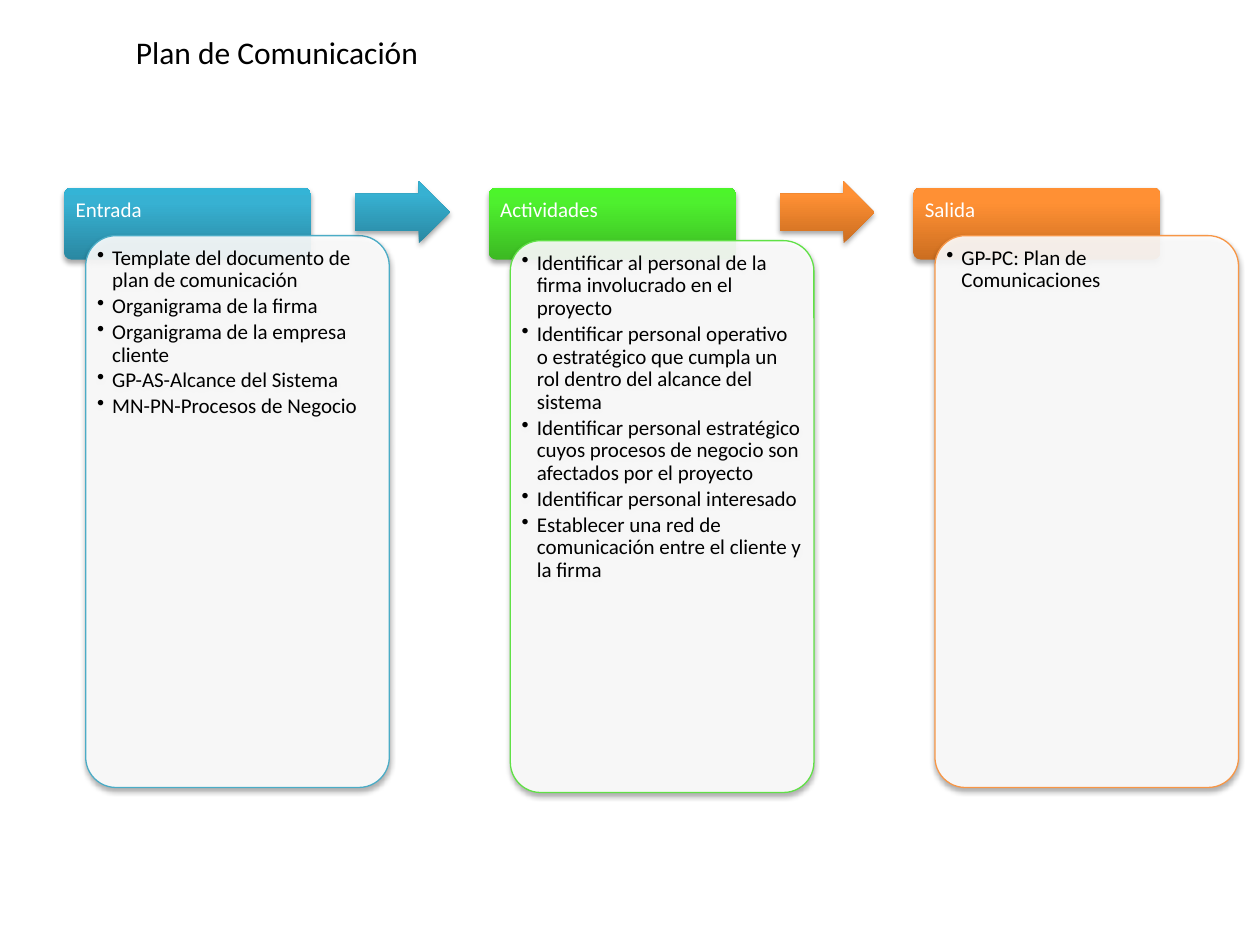
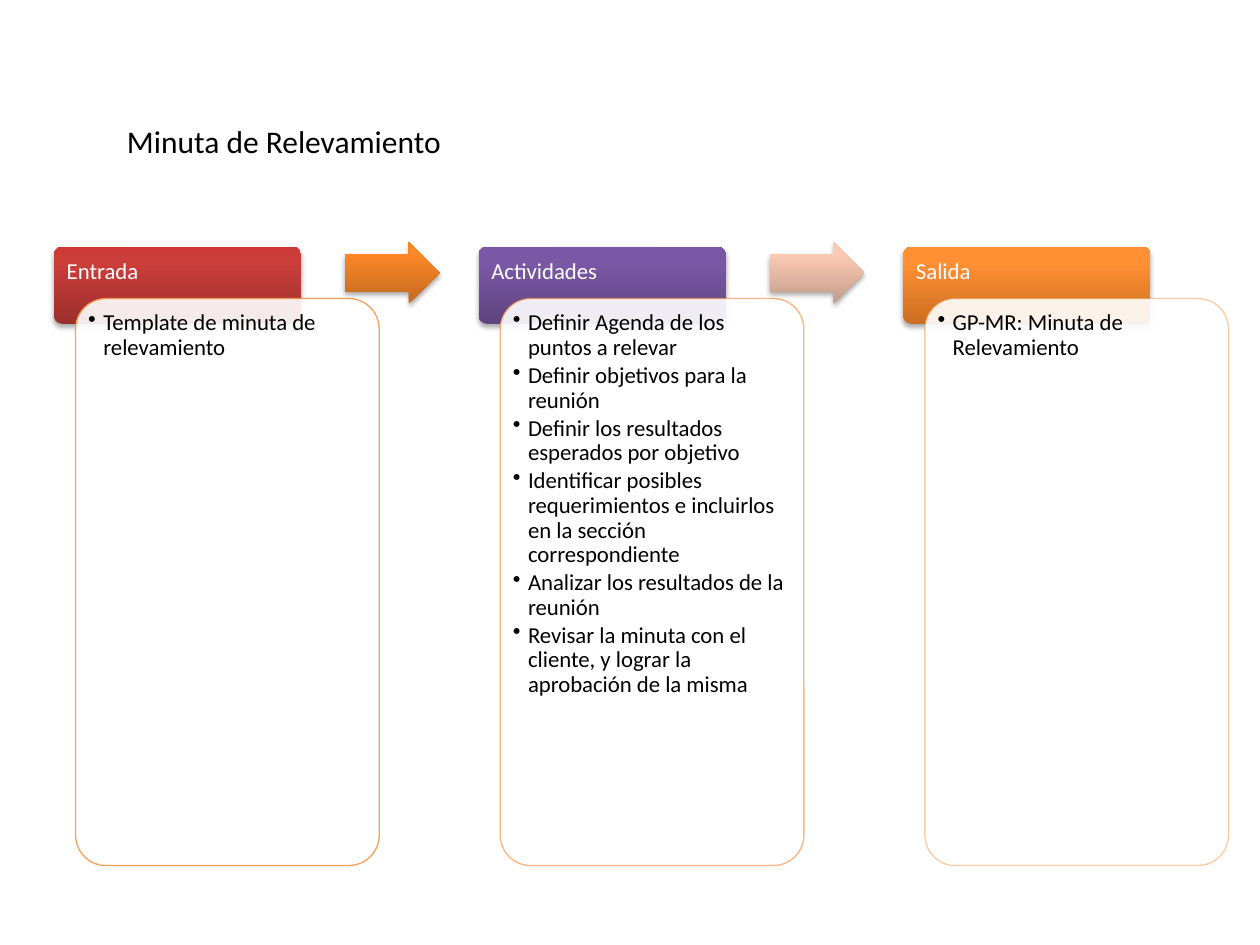
"""Build two process slides with inputs, activities and outputs in three linked columns."""
from lxml import etree
from pptx import Presentation, util as u
from pptx.dml import color
from pptx.enum import shapes, text
from pptx.oxml import ns

COLOURS = {"white": "FFFFFF", "black": "000000", "teal": "4BACC6", "lime": "60E146", "orange": "F79646"}
GRADIENTS = {
    "teal": ("2A88A2", "37B1D2", "34B4D6"),
    "lime": ("3CB923", "4EF02E", "4CF52A"),
    "orange": ("CC6E20", "FF9034", "FF9136"),
    "amber": ("C3691F", "FD8828", "FF8928"),
    "peach": ("C29C8A", "FCCAB3", "FECAB2"),
    "red": ("9C2F2D", "CB3E3A", "CE3B37"),
    "violet": ("5F4480", "7B58A6", "7C57A8"),
}
FONT = "Calibri"
COLUMN_STEP = 3.37
PANEL_OFFSET = 0.17
ARROW_OFFSET = 2.31
CORNER = 0.1
CORNER_INSET = 0.29 * CORNER

PROCESSES = [
    {
        "title": "Plan de Comunicación", "title_box": (0.98, 0.21, 5.2, 0.4),
        "left": 0.51, "header_top": 1.49, "header_height": 0.57, "arrow_top": 1.44,
        "panel_height": 4.38, "size": 12, "inset": 0.09, "panel_shadow": True,
        "arrows": ("teal", "orange"),
        "columns": [
            ("Entrada", "teal", "teal", 100, 1.87, [
                "Template del documento de plan de comunicación",
                "Organigrama de la firma",
                "Organigrama de la empresa cliente",
                "GP-AS-Alcance del Sistema",
                "MN-PN-Procesos de Negocio"]),
            ("Actividades", "lime", "lime", 100, 1.91, [
                "Identificar al personal de la firma involucrado en el proyecto",
                "Identificar personal operativo o estratégico que cumpla un rol dentro del alcance del sistema",
                "Identificar personal estratégico cuyos procesos de negocio son afectados por el proyecto",
                "Identificar personal interesado",
                "Establecer una red de comunicación entre el cliente y la firma"]),
            ("Salida", "orange", "orange", 100, 1.87, ["GP-PC: Plan de Comunicaciones"]),
        ],
    },
    {
        "title": "Minuta de Relevamiento", "title_box": (0.91, 0.92, 4.8, 0.4),
        "left": 0.43, "header_top": 1.96, "header_height": 0.61, "arrow_top": 1.92,
        "panel_height": 4.5, "size": 13, "inset": 0.1, "panel_shadow": False,
        "arrows": ("amber", "peach"),
        "columns": [
            ("Entrada", "red", "orange", 90, 2.37, ["Template de minuta de relevamiento"]),
            ("Actividades", "violet", "orange", 70, 2.37, [
                "Definir Agenda de los puntos a relevar",
                "Definir objetivos para la reunión",
                "Definir los resultados esperados por objetivo",
                "Identificar posibles requerimientos e incluirlos en la sección correspondiente",
                "Analizar los resultados de la reunión",
                "Revisar la minuta con el cliente, y lograr la aprobación de la misma"]),
            ("Salida", "orange", "orange", 50, 2.37, ["GP-MR: Minuta de Relevamiento"]),
        ],
    },
]


def add_block(slide, preset, box, adjustments, gradient=None, shadow=True):
    block = slide.shapes.add_shape(preset, *map(u.Inches, box))
    for index, value in enumerate(adjustments):
        block.adjustments[index] = value
    block.line.fill.background()
    block.shadow.inherit = False
    properties = block._element.spPr
    if gradient:
        stops = "".join(
            f'<a:gs pos="{position}"><a:srgbClr val="{shade}"/></a:gs>'
            for position, shade in zip((0, 80000, 100000), GRADIENTS[gradient]))
        properties.find(ns.qn("a:prstGeom")).addnext(etree.fromstring(
            f'<a:gradFill {ns.nsdecls("a")} rotWithShape="1"><a:gsLst>{stops}</a:gsLst>'
            '<a:lin ang="16200000" scaled="0"/></a:gradFill>'))
    if shadow:
        properties.find(ns.qn("a:effectLst")).append(etree.fromstring(
            f'<a:outerShdw {ns.nsdecls("a")} blurRad="{u.Pt(3.1)}" dist="{u.Pt(1.8)}" dir="5400000" '
            'rotWithShape="0"><a:srgbClr val="000000"><a:alpha val="35000"/></a:srgbClr></a:outerShdw>'))
    return block


def write_lines(block, lines, size, colour, inset=None, bullets=False):
    frame = block.text_frame
    frame.word_wrap = True
    frame.vertical_anchor = text.MSO_ANCHOR.TOP
    if inset is not None:
        frame.margin_left = frame.margin_right = frame.margin_top = u.Inches(inset)
        frame.margin_bottom = u.Inches(inset if bullets else 0.03)
    frame.text = "\n".join(lines)
    for paragraph in frame.paragraphs:
        paragraph.alignment = text.PP_ALIGN.LEFT
        if inset is not None:
            paragraph.line_spacing = 0.9
        if bullets:
            paragraph.space_after = u.Pt(0.15 * size)
            properties = paragraph._p.get_or_add_pPr()
            properties.set("marL", str(u.Inches(0.12)))
            properties.set("indent", str(u.Inches(-0.12)))
            etree.SubElement(properties, ns.qn("a:buChar")).set("char", "•")
        for run in paragraph.runs:
            run.font.name = FONT
            run.font.size = u.Pt(size)
            run.font.color.rgb = color.RGBColor.from_string(COLOURS[colour])


deck = Presentation()
deck.slide_width, deck.slide_height = u.Inches(10), u.Inches(7.5)

for process in PROCESSES:
    slide = deck.slides.add_slide(deck.slide_layouts[6])
    size, inset = process["size"], process["inset"]

    for number, (heading, gradient, outline, opacity, panel_top, items) in enumerate(process["columns"]):
        left = process["left"] + number * COLUMN_STEP
        header_height = process["header_height"]
        header = add_block(slide, shapes.MSO_SHAPE.ROUNDED_RECTANGLE,
                           (left, process["header_top"], 1.96, header_height), [CORNER], gradient)
        write_lines(header, [heading], size, "white", inset - CORNER_INSET * header_height)

        panel = add_block(slide, shapes.MSO_SHAPE.ROUNDED_RECTANGLE,
                          (left + PANEL_OFFSET, panel_top, 2.41, process["panel_height"]),
                          [CORNER], shadow=process["panel_shadow"])
        panel.fill.solid()
        panel.fill.fore_color.rgb = color.RGBColor.from_string(COLOURS["white"])
        panel.line.color.rgb = color.RGBColor.from_string(COLOURS[outline])
        panel.line.width = u.Pt(0.75)
        tints = panel._element.spPr.findall(".//" + ns.qn("a:solidFill") + "/" + ns.qn("a:srgbClr"))
        for tint, percent in zip(tints, (90, opacity)):
            etree.SubElement(tint, ns.qn("a:alpha")).set("val", str(percent * 1000))
        write_lines(panel, items, size, "black", inset - CORNER_INSET * 2.41, bullets=True)

        if number < len(process["arrows"]):
            add_block(slide, shapes.MSO_SHAPE.RIGHT_ARROW,
                      (left + ARROW_OFFSET, process["arrow_top"], 0.75, 0.49),
                      [0.6, 0.5], process["arrows"][number])

    title = slide.shapes.add_textbox(*map(u.Inches, process["title_box"]))
    write_lines(title, [process["title"]], 18, "black")
    title.text_frame.auto_size = text.MSO_AUTO_SIZE.SHAPE_TO_FIT_TEXT

deck.save("out.pptx")
